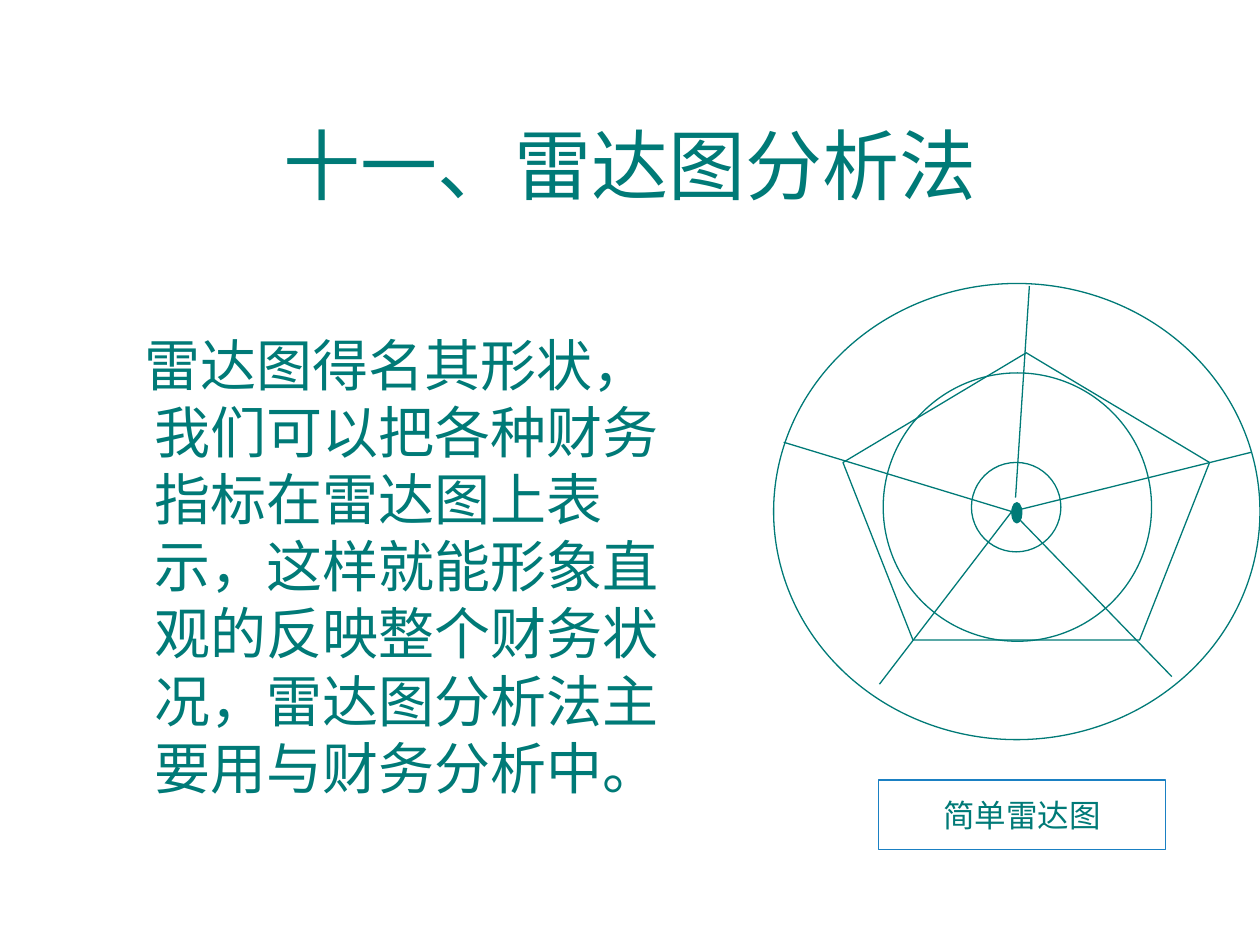
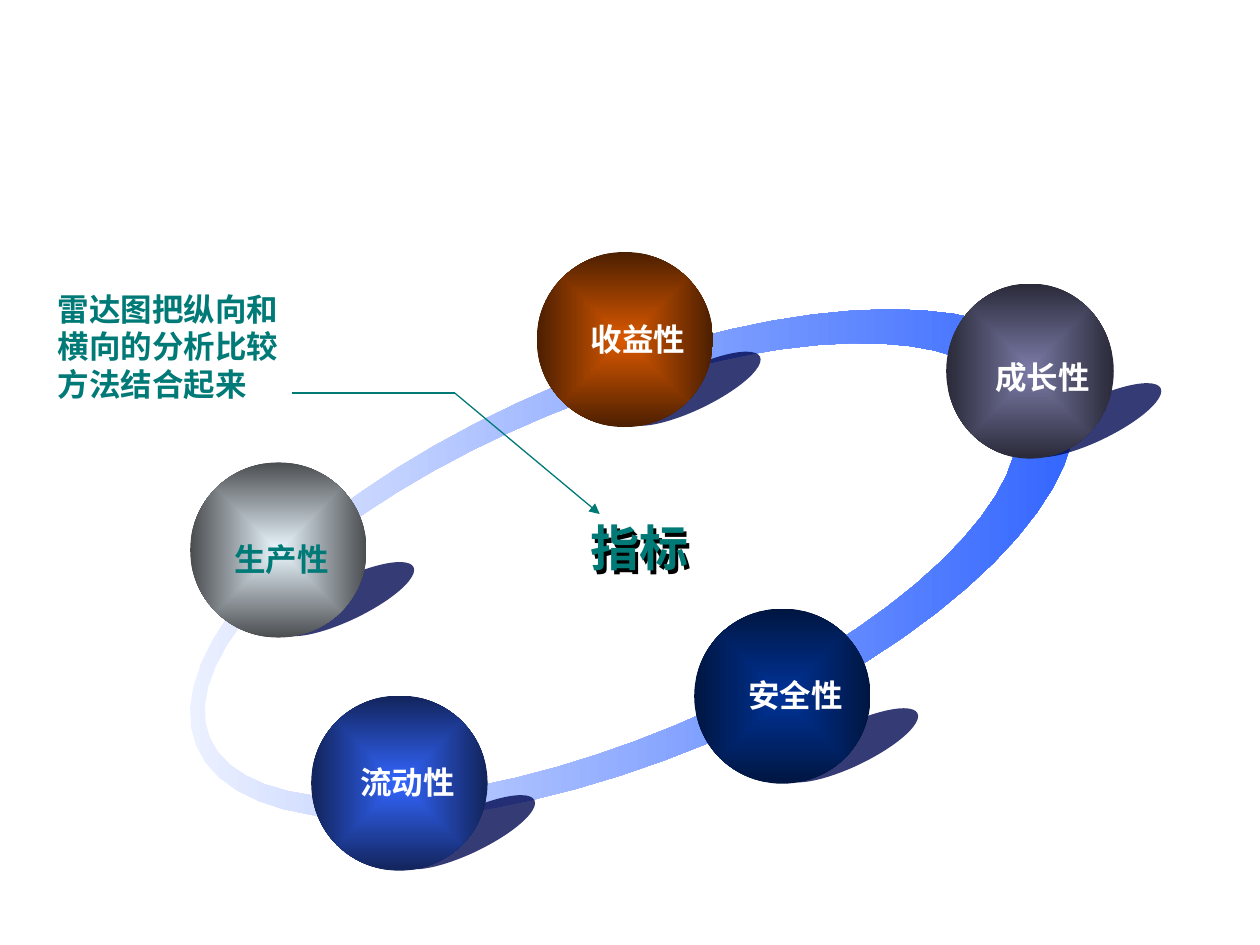
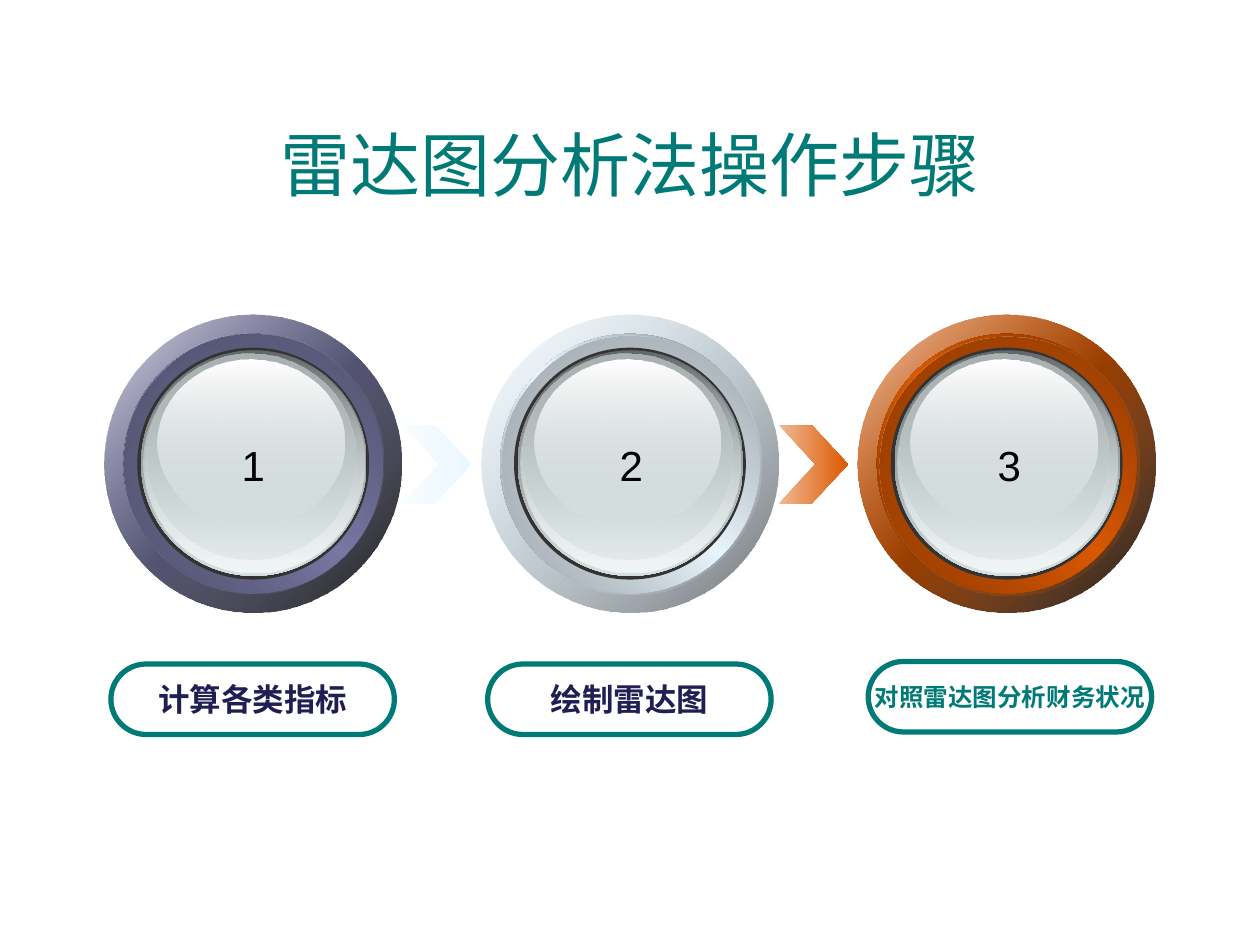
from math import cos, pi, radians, sin
from lxml.etree import SubElement as Sub
from pptx import Presentation
from pptx.dml.color import RGBColor
from pptx.enum.lang import MSO_LANGUAGE_ID as Lang
from pptx.enum.shapes import MSO_CONNECTOR as Conn, MSO_SHAPE as Kind
from pptx.enum.text import MSO_ANCHOR as Anchor, PP_ALIGN as Align
from pptx.oxml.ns import qn
from pptx.util import Inches, Pt

TEAL, NAVY, WHITE, BLACK = "007A77", "211E54", "FFFFFF", "000000"
FONT = "Arial"
TITLE = (0.33, 0.67, 9.34, 1.25)

# Slide 1
BODY = "雷达图得名其形状，我们可以把各种财务指标在雷达图上表示，这样就能形象直观的反映整个财务状况，雷达图分析法主要用与财务分析中。"
CIRCLES = [(6.14, 2.25, 3.86, 3.62), (7.71, 3.67, 0.71, 0.71), (7.01, 2.96, 2.13, 2.13)]
HUB = (8.03, 4.06)
SPOKES = [((8.17, 2.27), (8.06, 3.95)), ((6.22, 3.51), HUB), ((6.98, 5.43), HUB),
          ((9.3, 5.37), HUB), ((9.93, 3.59), HUB)]

# Slide 2: label, ball left, top, width, label left, top, core, rim, text colour
BALLS = [
    ("收益性", 4.26, 2, 1.4, 4.59, 2.49, "DC5900", "4C1F00", WHITE),
    ("生产性", 1.51, 3.67, 1.4, 1.76, 4.24, "EBF7FF", "4A4D50", TEAL),
    ("流动性", 2.47, 5.52, 1.4, 2.76, 6.01, "3366FF", "12245B", WHITE),
    ("安全性", 5.51, 4.83, 1.4, 5.84, 5.32, "003399", "001641", WHITE),
    ("成长性", 7.51, 2.25, 1.33, 7.8, 2.79, "7979A5", "2A2A39", WHITE),
]
NOTE = ["雷达图把纵向和", "横向的分析比较", "方法结合起来"]
TILT = 337.4
# Centre x, y and half axes of the outer and inner edge
ORBIT = [(5.02, 4.48, 3.75, 1.54), (4.85, 4.53, 3.45, 1.33)]

# Slide 3: label, size, text colour, main, bevel, groove, outer edge, pill shift
STEPS = [
    ("计算各类指标", 18, NAVY, "7979A5", "414159", "4D4D69", (BLACK, 90), (0, 0)),
    ("绘制雷达图", 18, NAVY, "EBF7FF", "7F868A", "959DA2", ("6D7276", 100), (0, 0)),
    ("对照雷达图分析财务状况", 14, TEAL, "DC5900", "773000", "8C3900", (BLACK, 90), (0.03, -0.02)),
]
CHEVRONS = [("F7FCFF", "EBF7FF"), ("F0B993", "DC5900")]
# Box measured from the ring's corner, then the two gradient stops
GLASS = [
    ((0.29, 0.28, 1.79, 1.79), ("636869", 100), ("D6E1E2", 100)),
    ((0.31, 0.29, 1.75, 1.75), ("D6E1E2", 0), ("F1F5F5", 100)),
    ((0.33, 0.31, 1.66, 1.63), ("AAB2B3", 100), ("D6E1E2", 48)),
    ((0.42, 0.35, 1.48, 1.32), ("FFFFFF", 100), ("D6E1E2", 38)),
]
FIRST, TOP, STEP, RING = 0.83, 2.5, 2.99, 2.36


def rgb(code):
    return RGBColor.from_string(code)


def fade(shape, stops, angle=None):
    """Gradient fill of (colour, opacity) stops; no angle means from the centre."""
    shape.fill.gradient()
    grad = shape._element.spPr.find(qn("a:gradFill"))
    for child in list(grad):
        grad.remove(child)
    grad.set("rotWithShape", "1")
    ramp = Sub(grad, qn("a:gsLst"))
    for i, (code, alpha) in enumerate(stops):
        stop = Sub(ramp, qn("a:gs"), pos=str(100000 * i // (len(stops) - 1)))
        tint = Sub(stop, qn("a:srgbClr"), val=code)
        if alpha < 100:
            Sub(tint, qn("a:alpha"), val=str(alpha * 1000))
    if angle is None:
        way = Sub(grad, qn("a:path"), path="rect")
        Sub(way, qn("a:fillToRect"), l="50000", t="50000", r="50000", b="50000")
    else:
        Sub(grad, qn("a:lin"), ang=str(angle * 60000), scaled="0")


def opaque(*codes):
    return [(code, 100) for code in codes]


def draw(slide, kind, box, fill=None, line=None, width=0.75):
    shape = slide.shapes.add_shape(kind, *map(Inches, box))
    return dress(shape, fill, line, width)


def dress(shape, fill=None, line=None, width=0.75):
    shape.shadow.inherit = False
    if fill:
        shape.fill.solid()
        shape.fill.fore_color.rgb = rgb(fill)
    else:
        shape.fill.background()
    if line:
        shape.line.color.rgb = rgb(line)
        shape.line.width = Pt(width)
    else:
        shape.line.fill.background()
    return shape


def disc(slide, box, stops, angle=None):
    fade(draw(slide, Kind.OVAL, box), stops, angle)


def join(slide, start, end, arrow=False):
    line = slide.shapes.add_connector(Conn.STRAIGHT, *map(Inches, start + end))
    line.line.color.rgb = rgb(TEAL)
    line.line.width = Pt(0.75)
    if arrow:
        Sub(line.line._get_or_add_ln(), qn("a:tailEnd"), type="triangle")
    Sub(line._element.spPr, qn("a:effectLst"))


def write(shape, lines, size, code=TEAL, bold=False, align=Align.CENTER,
          anchor=Anchor.MIDDLE, wrap=False):
    frame = shape.text_frame
    frame.text = "\n".join(lines)
    frame.word_wrap = wrap
    frame.vertical_anchor = anchor
    for para in frame.paragraphs:
        para.alignment = align
        for run in para.runs:
            font = run.font
            font.size, font.bold, font.name = Pt(size), bold, FONT
            font.color.rgb = rgb(code)
            font.language_id = Lang.SIMPLIFIED_CHINESE
            Sub(font._element, qn("a:ea"), typeface=FONT)
    return shape


def label(slide, box, lines, size, **style):
    style = {"anchor": Anchor.TOP, **style}
    return write(slide.shapes.add_textbox(*map(Inches, box)), lines, size, **style)


def title(slide, text, size):
    label(slide, TITLE, [text], size, anchor=Anchor.MIDDLE, wrap=True)


def radar(slide):
    title(slide, "十一、雷达图分析法", 44)
    body = label(slide, (0.75, 2.57, 4.72, 4.02), [BODY], 32, align=Align.LEFT, wrap=True)
    props = body.text_frame.paragraphs[0]._p.get_or_add_pPr()
    props.set("marL", str(Inches(0.38)))
    props.set("indent", str(Inches(-0.08)))
    props.set("hangingPunct", "0")
    for box in CIRCLES:
        draw(slide, Kind.OVAL, box, line=TEAL)
    draw(slide, Kind.OVAL, (8.03, 3.99, 0.08, 0.16), TEAL, TEAL)
    for start, end in SPOKES:
        join(slide, start, end)
    draw(slide, Kind.REGULAR_PENTAGON, (6.69, 2.8, 2.91, 2.28), line=TEAL)
    write(draw(slide, Kind.RECTANGLE, (6.97, 6.19, 2.28, 0.55), line="1A80C3"),
          ["简单雷达图"], 18)


def edge(x, y, a, b, way, count=64):
    """Points of a tilted ellipse, run through in the given direction."""
    c, s = cos(radians(TILT)), sin(radians(TILT))
    turns = [way * 2 * pi * i / count for i in range(count)]
    return [(Inches(x + a * cos(t) * c - b * sin(t) * s),
             Inches(y + a * cos(t) * s + b * sin(t) * c)) for t in turns]


def orbit(slide):
    outer, inner = edge(*ORBIT[0], 1), edge(*ORBIT[1], -1)
    form = slide.shapes.build_freeform(*outer[0])
    form.add_line_segments(outer[1:], close=True)
    form.move_to(*inner[0])
    form.add_line_segments(inner[1:], close=True)
    fade(dress(form.convert_to_shape()), opaque("ECF1FF", "3366FF"), 0)


def traits(slide):
    orbit(slide)
    for _, x, y, w, *_ in BALLS:
        shade = draw(slide, Kind.OVAL, (x + w - 0.74, y + 0.92, 1.17, 0.33), "020A53")
        shade.rotation = 334.3
        tint = shade._element.spPr.find(qn("a:solidFill"))[0]
        Sub(tint, qn("a:alpha"), val="80000")
    for _, x, y, w, _, _, core, rim, _ in BALLS:
        disc(slide, (x, y, w, 1.39), opaque(core, rim))
    for text, _, _, _, x, y, _, _, code in BALLS:
        label(slide, (x, y, 0.95, 0.4), [text], 18, code=code, bold=True, align=Align.LEFT)
    hub = label(slide, (3.66, 4.06, 2.83, 0.57), ["指标"], 28, bold=True, wrap=True)
    effects = Sub(hub._element.spPr, qn("a:effectLst"))
    cast = Sub(effects, qn("a:outerShdw"), dist="35921", dir="2700000")
    Sub(cast, qn("a:srgbClr"), val=BLACK)
    bend = (3.61, 3.12)
    join(slide, bend, (4.76, 4.08), arrow=True)
    join(slide, bend, (2.32, 3.12))
    label(slide, (0.36, 2.25, 1.95, 1), NOTE, 18, bold=True, align=Align.LEFT)


def dial(slide, x, nudge, main, bevel, groove, rim):
    def inset(gap, shift=0):
        return x + gap + shift, TOP + gap + shift, RING - 2 * gap, RING - 2 * gap
    disc(slide, inset(0), opaque(WHITE, main, WHITE), 45)
    disc(slide, inset(0), [(main, 32), rim], 45)
    disc(slide, inset(0.15), opaque(bevel, main, bevel), 315)
    disc(slide, inset(0.15, nudge), [(groove, 100), (main, 0)], 45)
    draw(slide, Kind.OVAL, inset(0.26), "333333")
    for (dx, dy, w, h), *stops in GLASS:
        disc(slide, (x + dx, TOP + dy, w, h), stops, 90)


def steps(slide):
    title(slide, "雷达图分析法操作步骤", 40)
    for i, pair in enumerate(CHEVRONS):
        x = FIRST + i * STEP + RING
        mark = draw(slide, Kind.CHEVRON, (x, 3.37, 0.55, 0.63))
        mark.adjustments[0] = 0.53
        fade(mark, opaque(*pair), 0)
    for i, (text, size, code, *tones, (dx, dy)) in enumerate(STEPS):
        x, nudge = FIRST + i * STEP, i * 0.01
        dial(slide, x, nudge, *tones)
        pill = draw(slide, Kind.ROUNDED_RECTANGLE,
                    (x + 0.05 + dx, 5.27 + dy, 2.25, 0.56), line=TEAL, width=3)
        pill.adjustments[0] = 0.5
        write(pill, [text], size, code, bold=True)
        label(slide, (x + 0.99 + nudge, 3.44, 0.38, 0.5), [str(i + 1)], 24, code=BLACK)


def main():
    deck = Presentation()
    deck.slide_width, deck.slide_height = Inches(10), Inches(7.5)
    for build in (radar, traits, steps):
        build(deck.slides.add_slide(deck.slide_layouts[6]))
    deck.save("out.pptx")


if __name__ == "__main__":
    main()
